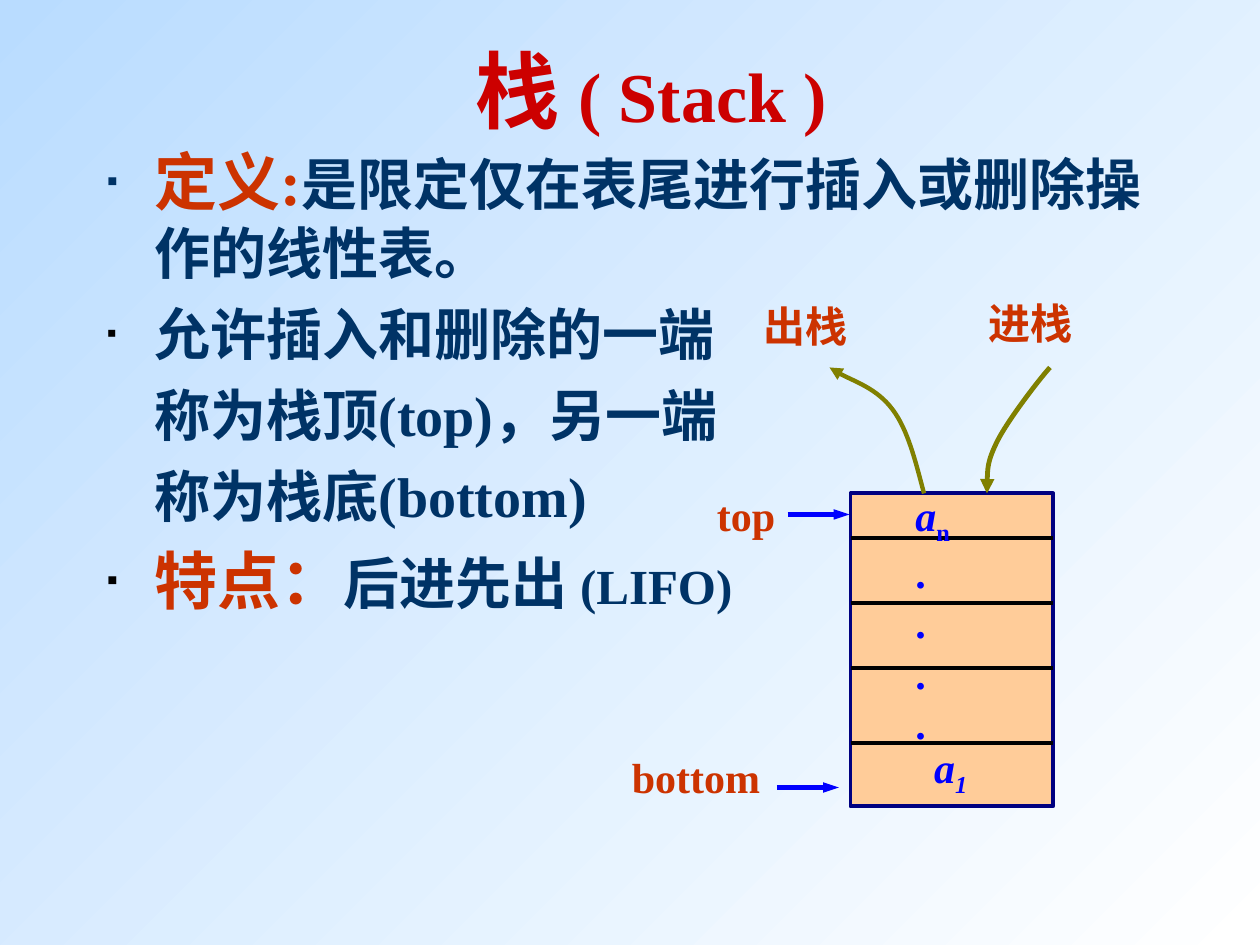
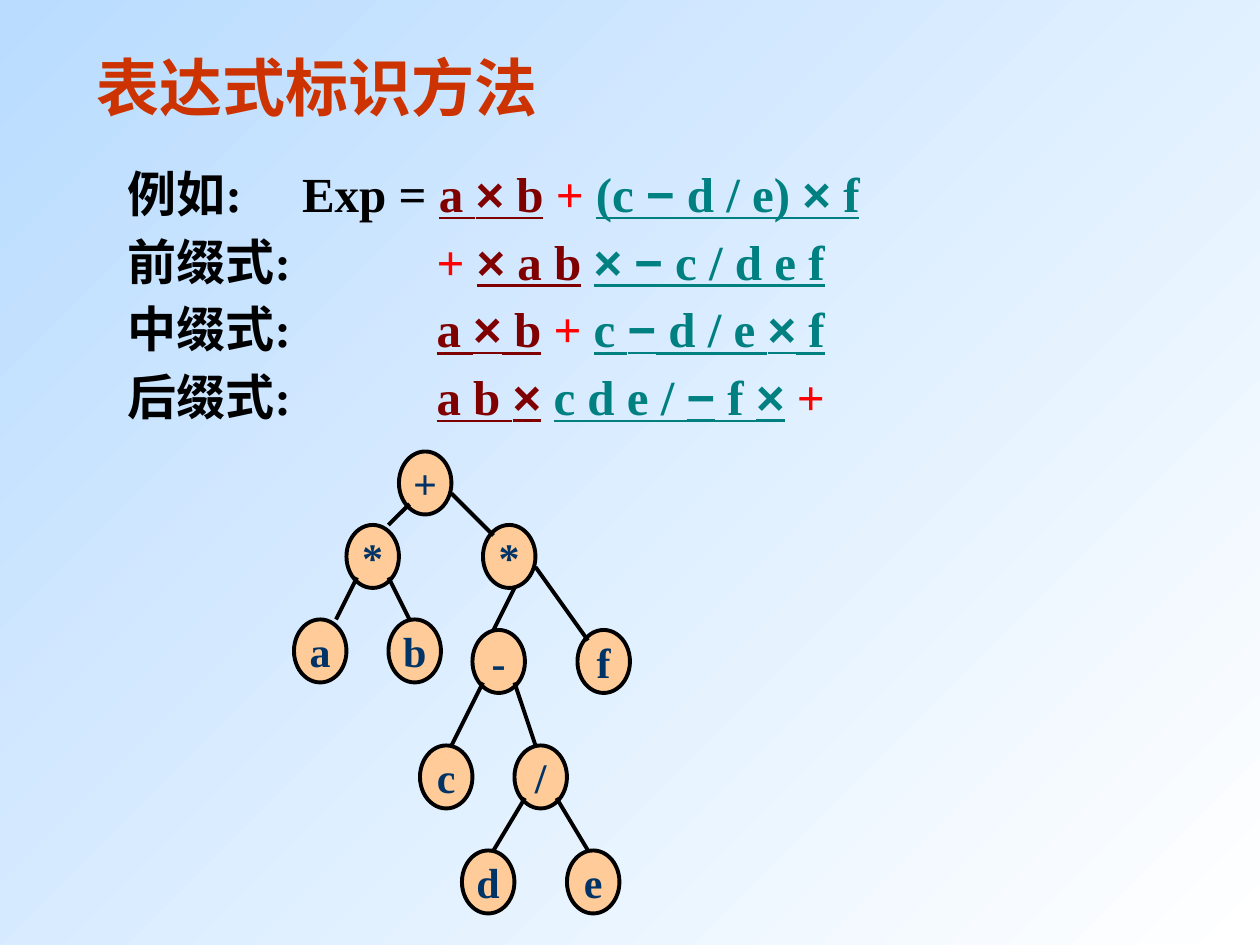
from itertools import groupby

from lxml.etree import SubElement
from pptx import Presentation
from pptx.dml.color import RGBColor
from pptx.enum.shapes import MSO_CONNECTOR, MSO_SHAPE
from pptx.enum.text import MSO_ANCHOR, PP_ALIGN
from pptx.oxml.ns import qn
from pptx.util import Pt

PX = 7620  # EMU per px, 120 px to the inch
FONT = "Times New Roman"
SYMBOL_FONT = "Arial"
COLORS = {
    "sky": "B9DCFF", "white": "FFFFFF", "black": "000000", "navy": "003366",
    "title_red": "CC0000", "orange_red": "CC3300", "red": "FF0000",
    "blue": "0000FF", "frame": "000080", "peach": "FFCC99",
    "olive": "808000", "maroon": "800000", "teal": "008080",
}


def rgb(name):
    return RGBColor.from_string(COLORS[name])


def paint_background(master):
    fill = master.background.fill
    fill.gradient()
    fill.gradient_angle = 315
    for stop, name in zip(fill.gradient_stops, ("sky", "white")):
        stop.color.rgb = rgb(name)


def add_run(paragraph, text, color, size, font=FONT, italic=False,
            underline=False, subscript=False):
    run = paragraph.add_run()
    run.text = text
    run.font.name = font
    run.font.size = Pt(size)
    run.font.bold = True
    run.font.italic = italic
    run.font.underline = underline
    run.font.color.rgb = rgb(color)
    if subscript:
        run.font._element.set("baseline", "-25000")


def add_text_box(slide, box):
    shape = slide.shapes.add_textbox(*(value * PX for value in box))
    shape.text_frame.word_wrap = True
    return shape.text_frame


def add_one_line_box(slide, box):
    """Add a text box with spare room on the right, so its line never breaks."""
    text_frame = add_text_box(slide, box)
    text_frame.margin_right = 0
    return text_frame.paragraphs[0]


def paragraphs_of(text_frame, count):
    return [text_frame.paragraphs[0]] + [
        text_frame.add_paragraph() for _ in range(count - 1)]


def add_label(slide, box, text, size=24):
    add_run(add_one_line_box(slide, box), text, "orange_red", size)


def add_arrowhead(shape, end, width="med"):
    SubElement(shape.line._get_or_add_ln(), qn(f"a:{end}"),
               type="triangle", w=width)


def add_line(shapes, start, end, color="black", width=2.25):
    line = shapes.add_connector(
        MSO_CONNECTOR.STRAIGHT, *(value * PX for value in (*start, *end)))
    line.line.color.rgb = rgb(color)
    line.line.width = Pt(width)
    SubElement(line._element.spPr, qn("a:effectLst"))
    return line


def add_filled_shape(shapes, kind, box, line_color):
    shape = shapes.add_shape(kind, *(value * PX for value in box))
    shape.shadow.inherit = False
    shape.fill.solid()
    shape.fill.fore_color.rgb = rgb("peach")
    shape.line.color.rgb = rgb(line_color)
    shape.line.width = Pt(2.25)
    return shape


def add_curve(slide, points, width, arrow_end):
    """Draw cubic curves: a start point, then three points for each curve."""
    builder = slide.shapes.build_freeform(*points[0], scale=PX)
    builder.add_line_segments(points[1:], close=False)
    shape = builder.convert_to_shape()
    shape.shadow.inherit = False
    shape.fill.background()
    shape.line.color.rgb = rgb("olive")
    shape.line.width = Pt(width)
    add_arrowhead(shape, arrow_end)
    outline = next(shape._element.iter(qn("a:path")))
    segments = outline.findall(qn("a:lnTo"))
    for index in range(0, len(segments), 3):
        curve = SubElement(outline, qn("a:cubicBezTo"))
        for segment in segments[index:index + 3]:
            curve.append(segment[0])
            outline.remove(segment)


def set_bullet(paragraph, color):
    properties = paragraph._p.get_or_add_pPr()
    properties.set("indent", str(-45 * PX))
    bullet_color = SubElement(properties, qn("a:buClr"))
    SubElement(bullet_color, qn("a:srgbClr"), val=COLORS[color])
    SubElement(properties, qn("a:buSzPct"), val="50000")
    SubElement(properties, qn("a:buFont"), typeface=SYMBOL_FONT)
    SubElement(properties, qn("a:buChar"), char="▪")


def add_stack_title(slide, box):
    text_frame = add_text_box(slide, box)
    text_frame.vertical_anchor = MSO_ANCHOR.MIDDLE
    paragraph = text_frame.paragraphs[0]
    paragraph.alignment = PP_ALIGN.CENTER
    add_run(paragraph, "栈 ", "title_red", 48)
    add_run(paragraph, "( Stack )", "title_red", 40)


def add_stack_notes(slide, box):
    notes = [  # bullet colour, space before, runs
        ("navy", 0, [("定义:", "orange_red", 36),
                     ("是限定仅在表尾进行插入或删除操作的线性表。", "navy", 32)]),
        ("black", 8, [("允许插入和删除的一端", "navy", 32)]),
        (None, 8, [("称为栈顶(top)，另一端", "navy", 32)]),
        (None, 8, [("称为栈底(bottom)", "navy", 32)]),
        ("black", 7, [("特点：", "orange_red", 36), ("后进先出 ", "navy", 32),
                      ("(LIFO)", "navy", 28)]),
    ]
    paragraphs = paragraphs_of(add_text_box(slide, box), len(notes))
    for paragraph, (bullet, space, runs) in zip(paragraphs, notes):
        paragraph._p.get_or_add_pPr().set("marL", str(45 * PX))
        if bullet:
            set_bullet(paragraph, bullet)
        if space:
            paragraph.space_before = Pt(space)
        for run in runs:
            add_run(paragraph, *run)


def add_stack_diagram(slide, box):
    left, top, width, height = box
    add_filled_shape(slide.shapes, MSO_SHAPE.RECTANGLE, box, "frame")
    for offset in (42, 104, 166, 238):
        add_line(slide.shapes, (left, top + offset), (left + width, top + offset))

    for x, y in ((left - 60, top + 20), (left - 70, top + 280)):
        pointer = add_line(slide.shapes, (x, y), (x + 59, y), "blue", 3)
        add_arrowhead(pointer, "tailEnd", "sm")
    for text, x, y, label_width in (
            ("top", -139, -10, 79), ("bottom", -220, 240, 146),
            ("出栈", -95, -190, 103), ("进栈", 120, -193, 103)):
        add_label(slide, (left + x, top + y, label_width, 60), text)

    pop_curve = [(70, 0), (62, -30), (55, -60), (40, -80),
                 (25, -100), (-8, -111), (-20, -120)]
    push_curve = [(130, 0), (130, -15), (130, -30), (140, -50),
                  (150, -70), (180, -109), (190, -120)]
    for points, line_width, arrow_end in (
            (pop_curve, 2.5, "tailEnd"), (push_curve, 2.75, "headEnd")):
        add_curve(slide, [(left + x, top + y) for x, y in points],
                  line_width, arrow_end)

    first = add_one_line_box(slide, (left + 68, top + 230, 70, 67))
    add_run(first, "a", "blue", 24, italic=True)
    add_run(first, "1", "blue", 24, italic=True, subscript=True)
    upper = add_text_box(slide, (left + 50, top - 10, 100, 307))
    last, *dots = paragraphs_of(upper, 5)
    add_run(last, "a", "blue", 24, italic=True)
    add_run(last, "n", "blue", 24, subscript=True)
    for dot in dots:
        add_run(dot, ".", "blue", 24)


def add_expressions(slide, box):
    rows = [
        (166, [("例如:\tExp = ", "black"), ("a × b", "maroon"), (" ", "black"),
               ("+ ", "red"), ("(c − d / e) × f", "teal")]),
        (294, [("前缀式:\t", "black"), ("+ ", "red"), ("× a b", "maroon"),
               (" ", "black"), ("× − c / d e f", "teal")]),
        (294, [("中缀式:\t", "black"), ("a × b", "maroon"), (" ", "black"),
               ("+ ", "red"), ("c − d / e × f", "teal")]),
        (294, [("后缀式:\t", "black"), ("a b ×", "maroon"), (" ", "black"),
               ("c d e / − f ×", "teal"), (" ", "black"), ("+", "red")]),
    ]
    paragraphs = paragraphs_of(add_text_box(slide, box), len(rows))
    for paragraph, (tab, parts) in zip(paragraphs, rows):
        tabs = SubElement(paragraph._p.get_or_add_pPr(), qn("a:tabLst"))
        SubElement(tabs, qn("a:tab"), pos=str(tab * PX), algn="l")
        if paragraph is not paragraphs[0]:
            paragraph.line_spacing = 1.15
        for text, color in parts:
            for is_symbol, letters in groupby(text, lambda letter: letter in "×−"):
                add_run(paragraph, "".join(letters), color, 28,
                        font=SYMBOL_FONT if is_symbol else FONT,
                        underline=color in ("maroon", "teal"))


def add_expression_tree(slide, left, top):
    nodes = {
        "plus": ("+", 100, 0), "times_left": ("*", 50, 70),
        "times_right": ("*", 180, 70), "a": ("a", 0, 160), "b": ("b", 90, 160),
        "minus": ("-", 170, 170), "f": ("f", 270, 170), "c": ("c", 120, 280),
        "divide": ("/", 210, 280), "d": ("d", 160, 380), "e": ("e", 260, 380),
    }
    lower_left, lower_right, right, bottom = (10, 50), (40, 50), (50, 40), (30, 60)
    edges = [  # parent, child, exit from parent, entry to child
        ("plus", "times_left", lower_left, (40, 0)),
        ("plus", "times_right", right, (10, 10)),
        ("times_left", "a", lower_left, (40, 0)),
        ("times_left", "b", lower_right, (20, 0)),
        ("times_right", "minus", bottom, (20, 0)),
        ("times_right", "f", right, (10, 10)),
        ("minus", "c", lower_left, (30, 0)),
        ("minus", "divide", lower_right, (20, 0)),
        ("divide", "d", lower_left, (30, 0)),
        ("divide", "e", lower_right, (20, 0)),
    ]
    shapes = slide.shapes.add_group_shape().shapes
    for text, x, y in nodes.values():
        node = add_filled_shape(
            shapes, MSO_SHAPE.OVAL, (left + x, top + y, 50, 60), "black")
        node.text_frame.word_wrap = False
        node.text_frame.vertical_anchor = MSO_ANCHOR.MIDDLE
        paragraph = node.text_frame.paragraphs[0]
        paragraph.alignment = PP_ALIGN.CENTER
        add_run(paragraph, text, "navy", 24)

    def anchor(name, offset):
        _, x, y = nodes[name]
        return left + x + offset[0], top + y + offset[1]

    for parent, child, exit_point, entry_point in edges:
        add_line(shapes, anchor(parent, exit_point), anchor(child, entry_point))


def build_stack_slide(slide):
    add_stack_title(slide, (110, 30, 1020, 110))
    add_stack_notes(slide, (90, 130, 1020, 670))
    add_stack_diagram(slide, (810, 470, 193, 298))


def build_expression_slide(slide):
    add_expressions(slide, (110, 150, 943, 262))
    add_label(slide, (80, 40, 444, 84), "表达式标识方法", 36)
    add_expression_tree(slide, 280, 430)


def main():
    presentation = Presentation()
    presentation.slide_width = 1200 * PX
    presentation.slide_height = 900 * PX
    paint_background(presentation.slide_master)
    blank = presentation.slide_layouts[6]
    for build in (build_stack_slide, build_expression_slide):
        build(presentation.slides.add_slide(blank))
    presentation.save("out.pptx")


if __name__ == "__main__":
    main()
